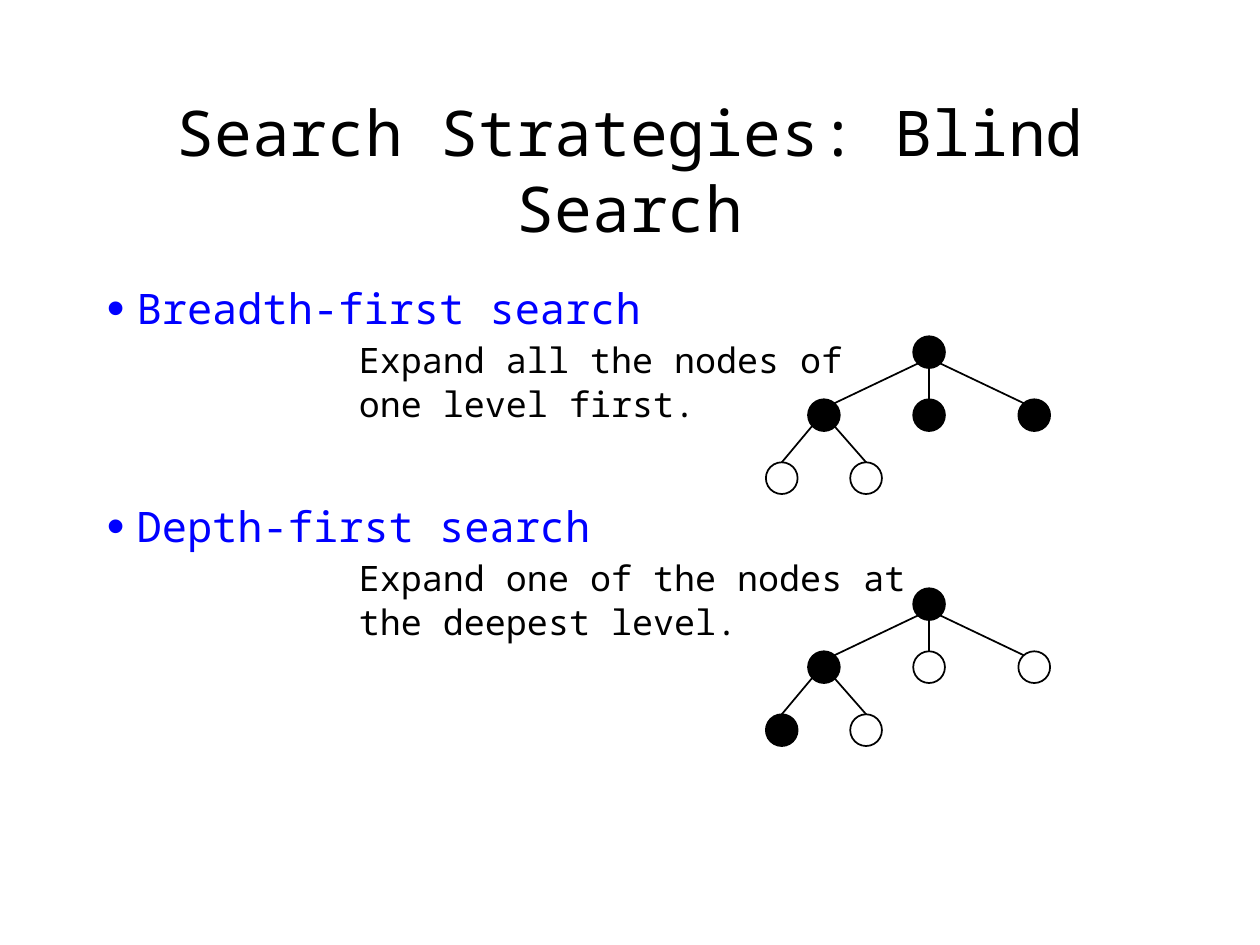
import pptx
import pptx.util
import pptx.dml.color
import pptx.enum.shapes
import pptx.enum.text
import pptx.oxml
import pptx.oxml.ns
import lxml.etree

Cm, Pt = pptx.util.Cm, pptx.util.Pt
BLACK = pptx.dml.color.RGBColor(0x00, 0x00, 0x00)
BLUE = pptx.dml.color.RGBColor(0x00, 0x00, 0xFF)
FONT = "Noto Sans Mono"
DRAWING = pptx.oxml.ns.nsdecls("a")

deck = pptx.Presentation()
deck.slide_width, deck.slide_height = Cm(25.4), Cm(19.05)
page = deck.slides.add_slide(deck.slide_layouts[1])


def place(box, top, height, anchor):
    """Move a placeholder to its band of the page and return its text frame."""
    box.left, box.top, box.width, box.height = Cm(1.9), Cm(top), Cm(21.6), Cm(height)
    frame = box.text_frame
    frame.word_wrap = True
    frame.auto_size = pptx.enum.text.MSO_AUTO_SIZE.NONE
    frame.vertical_anchor = anchor
    return frame


def style(para, size, color, line, before=0):
    """Set the font and spacing of a paragraph."""
    para.font.name, para.font.size, para.font.color.rgb = FONT, Pt(size), color
    para.line_spacing, para.space_before, para.space_after = Pt(line), Pt(before), Pt(0)


# Title
title_frame = place(page.shapes.title, 1.7, 3.18, pptx.enum.text.MSO_ANCHOR.MIDDLE)
title_frame.margin_top = Cm(0.38)
title_frame.text = "Search Strategies: Blind Search"
title_para = title_frame.paragraphs[0]
title_para.alignment = pptx.enum.text.PP_ALIGN.CENTER
style(title_para, 36, BLACK, 43)

# Strategies, each with a description (\v is a line break)
strategies = [
    ("Breadth-first search", "Expand all the nodes of\vone level first.", 0),
    ("Depth-first search", "Expand one of the nodes at\vthe deepest level.", 42),
]
body_frame = place(page.placeholders[1], 5.51, 11.43, pptx.enum.text.MSO_ANCHOR.TOP)
para = body_frame.paragraphs[0]
for name, description, gap in strategies:
    if gap:
        para = body_frame.add_paragraph()
    para.text = name
    style(para, 24, BLUE, 30.6, gap)
    detail = body_frame.add_paragraph()
    detail.text = description
    style(detail, 20, BLACK, 25, 2)

    bullet = [
        f'<a:buClr {DRAWING}><a:srgbClr val="{BLUE}"/></a:buClr>',
        f'<a:buSzPct {DRAWING} val="120000"/>',
        f'<a:buChar {DRAWING} char="•"/>',
    ]
    for item, margin, indent, marks in (
        (para, 0.6, -0.6, bullet),
        (detail, 5.08, 0, [f"<a:buNone {DRAWING}/>"]),
    ):
        properties = item._p.get_or_add_pPr()
        properties.set("marL", str(Cm(margin)))
        properties.set("indent", str(Cm(indent)))
        default_font = properties.find(pptx.oxml.ns.qn("a:defRPr"))
        for mark in marks:
            default_font.addprevious(pptx.oxml.parse_xml(mark))

# Search trees: node centres and edges relative to the root
NODE = 0.64
LEVEL = 1.27
BRANCH = 2.12
ROOT_X = 18.73
nodes = {
    "root": (0, 0),
    "left": (-BRANCH, LEVEL),
    "middle": (0, LEVEL),
    "right": (BRANCH, LEVEL),
    "left leaf": (-2.97, 2 * LEVEL),
    "right leaf": (-1.27, 2 * LEVEL),
}
# parent, child, offset from the parent centre, offset from the child centre
edges = [
    ("root", "left", (-0.21, 0.22), (0.21, -0.24)),
    ("left", "left leaf", (-0.24, 0.22), (0, -0.32)),
    ("left", "right leaf", (0.21, 0.22), (0, -0.32)),
    ("root", "middle", (0, 0.32), (0, -0.32)),
    ("root", "right", (0.21, 0.22), (-0.21, -0.24)),
]
trees = [
    (7.1, {"root", "left", "middle", "right"}),
    (12.18, {"root", "left", "left leaf"}),
]
for root_y, expanded in trees:
    for name, (x, y) in nodes.items():
        node = page.shapes.add_shape(
            pptx.enum.shapes.MSO_SHAPE.OVAL,
            Cm(ROOT_X + x - NODE / 2), Cm(root_y + y - NODE / 2), Cm(NODE), Cm(NODE),
        )
        node.shadow.inherit = False
        node.line.color.rgb, node.line.width = BLACK, Pt(1)
        if name in expanded:
            node.fill.solid()
            node.fill.fore_color.rgb = BLACK
        else:
            node.fill.background()
    for parent, child, start, end in edges:
        ends = [
            Cm(origin + nodes[name][axis] + offset[axis])
            for name, offset in ((parent, start), (child, end))
            for axis, origin in enumerate((ROOT_X, root_y))
        ]
        edge = page.shapes.add_connector(pptx.enum.shapes.MSO_CONNECTOR.STRAIGHT, *ends)
        edge.line.color.rgb, edge.line.width = BLACK, Pt(1)
        lxml.etree.SubElement(edge._element.spPr, pptx.oxml.ns.qn("a:effectLst"))

deck.save("out.pptx")
